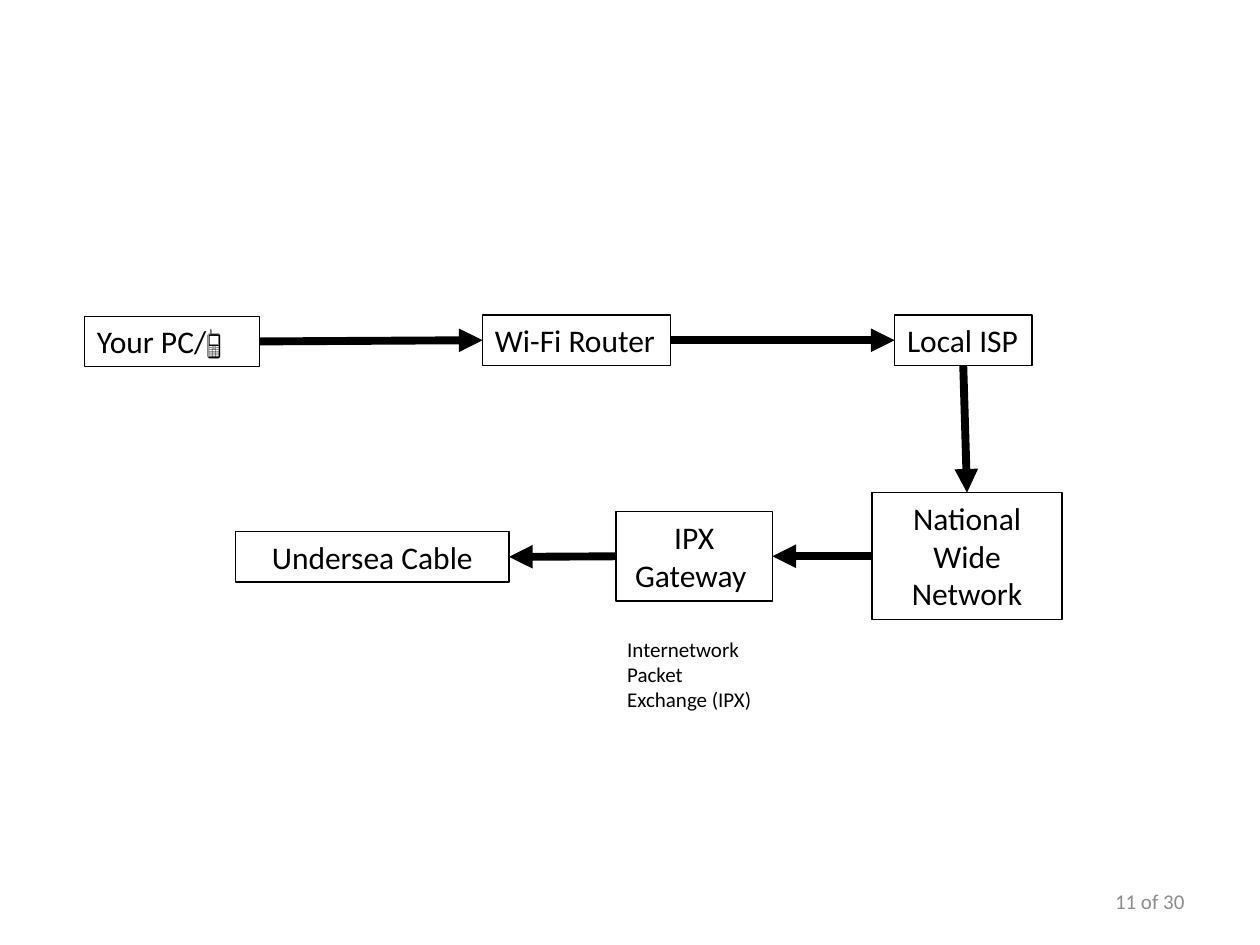
"""Build a slide that traces the route from a user device to a submarine cable."""
from lxml.etree import SubElement
from pptx import Presentation
from pptx.dml.color import RGBColor
from pptx.enum.shapes import MSO_CONNECTOR
from pptx.enum.text import MSO_ANCHOR, MSO_AUTO_SIZE, PP_ALIGN
from pptx.oxml.ns import qn
from pptx.util import Inches, Pt

BLACK = RGBColor(0x00, 0x00, 0x00)
GRAY = RGBColor(0x8C, 0x8C, 0x8C)
FONT = "Calibri"
TOP, LEFT, BOTTOM, RIGHT = range(4)

STOPS = {
    "device": ("Your PC/📱", (0.67, 2.51, 1.39, 0.4), False, PP_ALIGN.LEFT),
    "router": ("Wi-Fi Router", (3.83, 2.5, 1.49, 0.4), False, PP_ALIGN.LEFT),
    "isp": ("Local ISP", (7.1, 2.5, 1.09, 0.4), False, PP_ALIGN.LEFT),
    "national": ("National Wide Network", (6.92, 3.91, 1.51, 1.01), True, PP_ALIGN.CENTER),
    "gateway": ("IPX Gateway ", (4.89, 4.06, 1.24, 0.71), True, PP_ALIGN.CENTER),
    "cable": ("Undersea Cable", (1.87, 4.22, 2.17, 0.4), True, PP_ALIGN.CENTER),
}
HOPS = [
    ("device", RIGHT, "router", LEFT),
    ("router", RIGHT, "isp", LEFT),
    ("isp", BOTTOM, "national", TOP),
    ("national", LEFT, "gateway", RIGHT),
    ("gateway", LEFT, "cable", RIGHT),
]
IPX_NOTE = ("Internetwork Packet Exchange (IPX)", (4.88, 5, 1.24, 0.71))
PAGE_NUMBER = ("11 of 30", (7.17, 6.95, 2.33, 0.4))


def add_label(slide, text, place, size, color=BLACK, wrap=True, align=PP_ALIGN.LEFT):
    label = slide.shapes.add_textbox(*map(Inches, place))
    frame = label.text_frame
    frame.word_wrap = wrap
    frame.auto_size = MSO_AUTO_SIZE.SHAPE_TO_FIT_TEXT
    paragraph = frame.paragraphs[0]
    paragraph.alignment = align
    run = paragraph.add_run()
    run.text = text
    run.font.name = FONT
    run.font.size = Pt(size)
    run.font.color.rgb = color
    return label


def add_stop(slide, text, place, wrap, align):
    stop = add_label(slide, text, place, 18, wrap=wrap, align=align)
    stop.line.color.rgb = BLACK
    stop.line.width = Pt(0.75)
    return stop


def add_hop(slide, source, source_side, target, target_side):
    hop = slide.shapes.add_connector(MSO_CONNECTOR.STRAIGHT, 0, 0, 0, 0)
    hop.begin_connect(source, source_side)
    hop.end_connect(target, target_side)
    hop.line.color.rgb = BLACK
    hop.line.width = Pt(4.5)
    SubElement(hop.line._get_or_add_ln(), qn("a:tailEnd"), type="triangle")
    SubElement(hop._element.spPr, qn("a:effectLst"))


def main():
    deck = Presentation()
    deck.slide_width, deck.slide_height = Inches(10), Inches(7.5)
    slide = deck.slides.add_slide(deck.slide_layouts[6])

    page_number = add_label(slide, *PAGE_NUMBER, 12, GRAY, align=PP_ALIGN.RIGHT)
    page_number.text_frame.auto_size = MSO_AUTO_SIZE.NONE
    page_number.text_frame.vertical_anchor = MSO_ANCHOR.MIDDLE

    stops = {key: add_stop(slide, *details) for key, details in STOPS.items()}
    for source, source_side, target, target_side in HOPS:
        add_hop(slide, stops[source], source_side, stops[target], target_side)
    add_label(slide, *IPX_NOTE, 12)

    deck.save("out.pptx")


if __name__ == "__main__":
    main()
